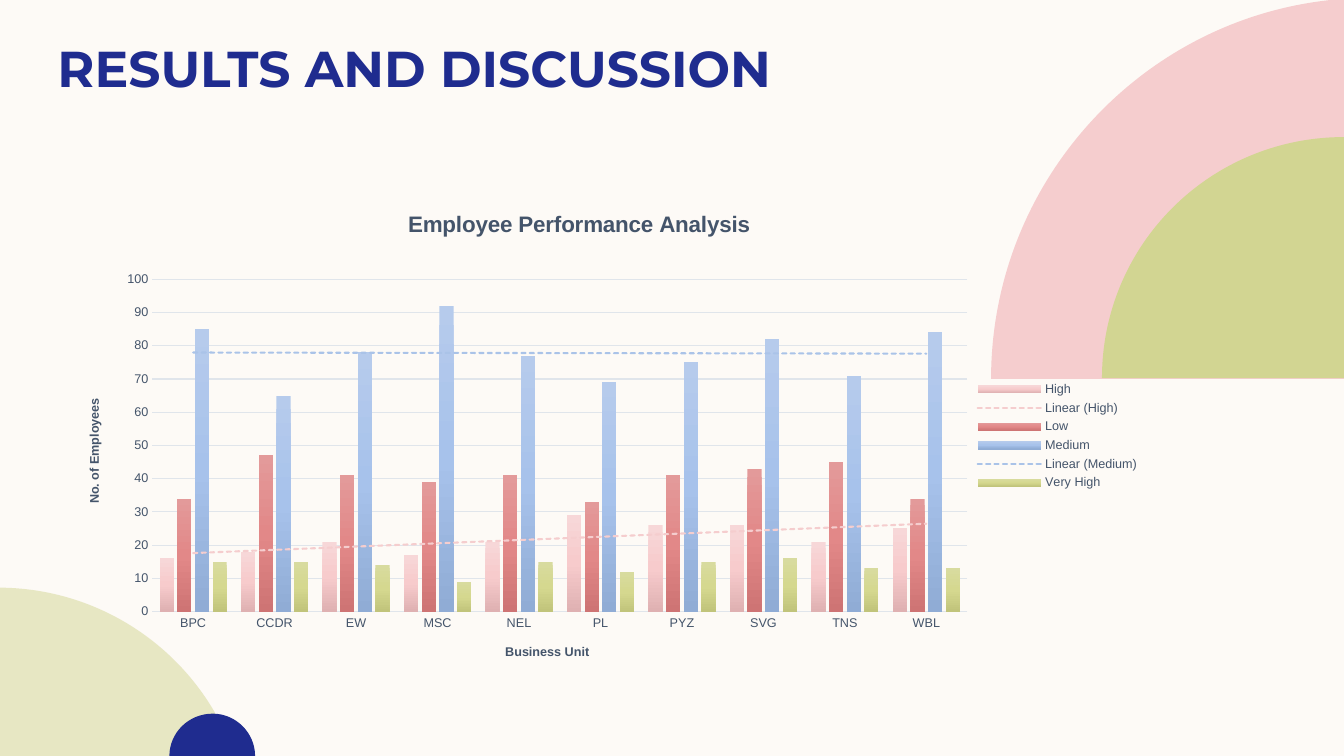
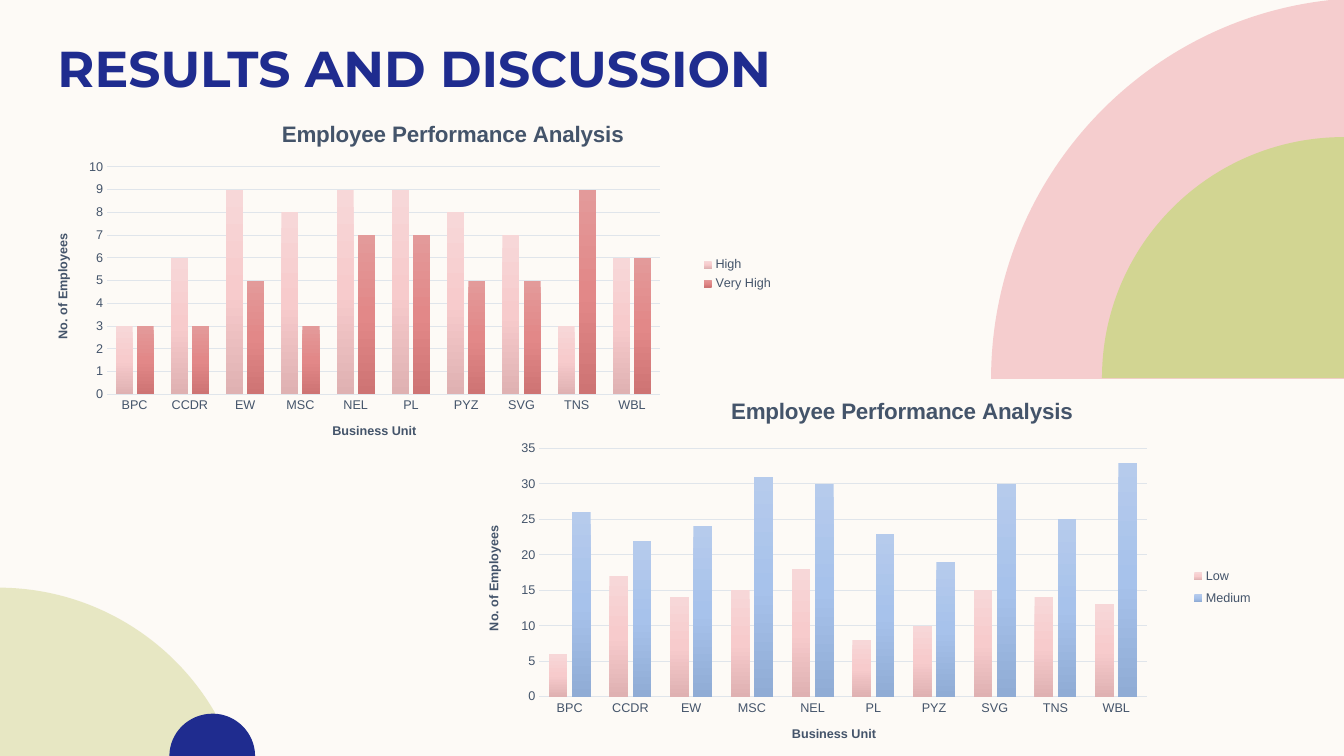
"""Build two slides of employee performance charts."""
from lxml import etree
from pptx import Presentation
from pptx.chart.data import CategoryChartData
from pptx.dml.color import RGBColor
from pptx.enum.chart import XL_CHART_TYPE, XL_LEGEND_POSITION, XL_TICK_MARK
from pptx.enum.text import MSO_ANCHOR, MSO_AUTO_SIZE, PP_ALIGN
from pptx.oxml import parse_xml
from pptx.oxml.ns import nsdecls, qn
from pptx.util import Pt

BARS = XL_CHART_TYPE.COLUMN_CLUSTERED
RIGHT = XL_LEGEND_POSITION.RIGHT
NO_TICK = XL_TICK_MARK.NONE
BOTTOM = MSO_ANCHOR.BOTTOM
FIXED = MSO_AUTO_SIZE.NONE
LEFT = PP_ALIGN.LEFT

PX = 9144
CREAM = RGBColor(0xFD, 0xFA, 0xF6)
PINK = RGBColor(0xF5, 0xCD, 0xCE)
GREEN = RGBColor(0xD2, 0xD5, 0x92)
NAVY = RGBColor(0x1F, 0x2C, 0x8F)
SLATE = RGBColor(0x44, 0x54, 0x6A)
GRID = RGBColor(0xE0, 0xE5, 0xEB)
BLUE = RGBColor(0xAA, 0xC3, 0xE8)

PINKS = ("F7D7D8", "F7CBCC", "DFB1B2")
REDS = ("E39A9A", "E28888", "CE7474")
BLUES = ("B6CBEC", "A7C2EB", "90ACD5")
GREENS = ("D8DB9F", "D5D88F", "C1C47B")

UNITS = ["BPC", "CCDR", "EW", "MSC", "NEL", "PL", "PYZ", "SVG", "TNS", "WBL"]
PLOT = {"x": 8.1, "y": 21.4, "w": 75.1, "h": 60.7}
HEAD = {"x": 31.3, "y": 7.9}
KEY = {"x": 87.6, "y": 49.1, "w": 10, "h": 12.4}

ARCS = [
    (PINK, 100, (1333, 0), [[(1333, 376)], [(983, 376)],
                            [(983, 181), (1131, 20), (1320, 0)]]),
    (GREEN, 100, (1093, 375), [[(1093, 243), (1200, 136), (1333, 136)],
                               [(1333, 375)]]),
    (GREEN, 50, (-2, 583), [[(101, 583), (190, 646), (227, 735)],
                            [(233, 750)], [(-2, 750)]]),
    (NAVY, 100, (211, 708), [[(234, 708), (253, 727), (253, 750)],
                             [(168, 750)],
                             [(168, 727), (187, 708), (211, 708)]]),
]


def style(font, size, color, bold=False, name="Arial"):
    """Set the look of a font."""
    font.name, font.size, font.bold = name, Pt(size), bold
    font.color.rgb = color


def place(part, index, sides, inner=False):
    """Give a chart part a manual layout in percent of the chart."""
    for old in part.findall(qn("c:layout")):
        part.remove(old)
    target = '<c:layoutTarget val="inner"/>' if inner else ""
    modes = '<c:xMode val="edge"/><c:yMode val="edge"/>'
    spots = "".join(f'<c:{side} val="{share / 100:.3f}"/>'
                    for side, share in sides.items())
    part.insert(index, parse_xml(
        f'<c:layout {nsdecls("c")}><c:manualLayout>{target}{modes}{spots}'
        '</c:manualLayout></c:layout>'))


class Deck:
    """Holds the deck, its style and the current slide."""

    def __init__(self):
        """Set up the deck and its shared layout."""
        self.deck = Presentation()
        self.deck.slide_width, self.deck.slide_height = 1333 * PX, 750 * PX
        self.layout = self.deck.slide_layouts[5]
        self.slide = None
        fill = self.layout.background.fill
        fill.solid()
        fill.fore_color.rgb = CREAM
        for holder in list(self.layout.placeholders)[1:]:
            holder.element.getparent().remove(holder.element)

    def page(self, text):
        """Start a slide with a title."""
        self.slide = self.deck.slides.add_slide(self.layout)
        title = self.slide.shapes.title
        title.left, title.top = 47 * PX, 30 * PX
        title.width, title.height = 858 * PX, 67 * PX
        frame = title.text_frame
        frame.text = text
        frame.word_wrap, frame.auto_size = True, FIXED
        frame.vertical_anchor = BOTTOM
        frame.margin_left = frame.margin_right = 10 * PX
        frame.margin_top = frame.margin_bottom = 0
        line = frame.paragraphs[0]
        line.alignment = LEFT
        style(line.font, 36, NAVY, True, "Montserrat")

    def arc(self, color, alpha, start, parts):
        """Draw a curved outline and move it to the shared layout."""
        ends = [part[-1] for part in parts]
        left = min(x for x, _ in [start] + ends)
        top = min(y for _, y in [start] + ends)
        pen = self.slide.shapes.build_freeform(*start, scale=PX)
        pen.add_line_segments(ends)
        shape = pen.convert_to_shape()
        lines = shape.element.findall(".//" + qn("a:lnTo"))
        for line, part in zip(lines, parts):
            if len(part) == 3:
                line.tag = qn("a:cubicBezTo")
                for index, (x, y) in enumerate(part[:2]):
                    line.insert(index, etree.Element(
                        qn("a:pt"), x=str(x - left), y=str(y - top)))
        shape.shadow.inherit = False
        shape.fill.solid()
        shape.fill.fore_color.rgb = color
        shape.line.fill.background()
        if alpha < 100:
            tint = shape.element.find(".//" + qn("a:srgbClr"))
            etree.SubElement(tint, qn("a:alpha"), val=str(alpha * 1000))
        self.layout.shapes.element.append(shape.element)

    def axis(self, axis, text):
        """Style an axis and name it."""
        axis.has_title = True
        frame = axis.axis_title.text_frame
        frame.text = text
        style(frame.paragraphs[0].font, 9, SLATE, True)
        style(axis.tick_labels.font, 9, SLATE)
        axis.major_tick_mark = axis.minor_tick_mark = NO_TICK

    def trend(self, node, color):
        """Add a dashed linear trend to a series."""
        node.find(qn("c:cat")).addprevious(parse_xml(
            f'<c:trendline {nsdecls("c", "a")}><c:spPr>'
            '<a:ln w="19050" cap="rnd"><a:solidFill>'
            f'<a:srgbClr val="{color}"/></a:solidFill>'
            '<a:prstDash val="sysDash"/></a:ln></c:spPr>'
            '<c:trendlineType val="linear"/><c:dispRSqr val="0"/>'
            '<c:dispEq val="0"/></c:trendline>'))

    def shade(self, series, node, stops):
        """Fill a series with an even top-down gradient."""
        fill = series.format.fill
        fill.gradient()
        fill.gradient_angle = 270
        ramp = node.find(".//" + qn("a:gsLst"))
        ramp.clear()
        for index, color in enumerate(stops):
            stop = etree.SubElement(ramp, qn("a:gs"), pos=str(index * 50000))
            etree.SubElement(stop, qn("a:srgbClr"), val=color)

    def chart(self, box, top, step, rows, key=None):
        """Draw a column chart from rows of name, values, stops and trend."""
        data = CategoryChartData()
        data.categories = UNITS
        for name, values, *_ in rows:
            data.add_series(name, values)
        chart = self.slide.shapes.add_chart(
            BARS, *(side * PX for side in box), data).chart
        style(chart.font, 10, SLATE)
        chart.has_title = True
        frame = chart.chart_title.text_frame
        frame.text = "Employee Performance Analysis"
        style(frame.paragraphs[0].font, 16, SLATE, True)
        chart.has_legend = True
        chart.legend.position = RIGHT
        chart.legend.include_in_layout = False
        style(chart.legend.font, 9, SLATE)

        units, count = chart.category_axis, chart.value_axis
        self.axis(units, "Business Unit")
        self.axis(count, "No. of Employees")
        count.minimum_scale, count.maximum_scale = 0, top
        count.major_unit = step
        count.format.line.fill.background()
        for line in (units.format.line, count.major_gridlines.format.line):
            line.color.rgb = GRID
            line.width = Pt(0.75)

        plot = chart.plots[0]
        plot.gap_width, plot.overlap = 100, -24
        plot.vary_by_categories = False
        root = chart.element.find(qn("c:chart"))
        nodes = root.findall(".//" + qn("c:ser"))
        for series, node, (_, _, stops, trend) in zip(plot.series, nodes, rows):
            self.shade(series, node, stops)
            if trend:
                self.trend(node, trend)
        place(root.find(qn("c:plotArea")), 0, PLOT, True)
        place(root.find(qn("c:title")), 1, HEAD)
        if key:
            place(root.find(qn("c:legend")), 1, key)


def main():
    """Build and save the deck."""
    deck = Deck()
    deck.page("RESULTS AND DISCUSSION")
    for arc in ARCS:
        deck.arc(*arc)
    deck.chart((64, 161, 1076, 543), 100, 10, [
        ("High", (16, 18, 21, 17, 21, 29, 26, 26, 21, 25), PINKS, PINK),
        ("Low", (34, 47, 41, 39, 41, 33, 41, 43, 45, 34), REDS, None),
        ("Medium", (85, 65, 78, 92, 77, 69, 75, 82, 71, 84), BLUES, BLUE),
        ("Very High", (15, 15, 14, 9, 15, 12, 15, 16, 13, 13), GREENS, None),
    ])

    deck.page("RESULTS AND DISCUSSION")
    deck.chart((47, 86, 730, 372), 10, 1, [
        ("High", (3, 6, 9, 8, 9, 9, 8, 7, 3, 6), PINKS, None),
        ("Very High", (3, 3, 5, 3, 7, 7, 5, 5, 9, 6), REDS, None),
    ])
    deck.chart((470, 358, 802, 406), 35, 5, [
        ("Low", (6, 17, 14, 15, 18, 8, 10, 15, 14, 13), PINKS, None),
        ("Medium", (26, 22, 24, 31, 30, 23, 19, 30, 25, 33), BLUES, None),
    ], KEY)
    deck.deck.save("out.pptx")


if __name__ == "__main__":
    main()
